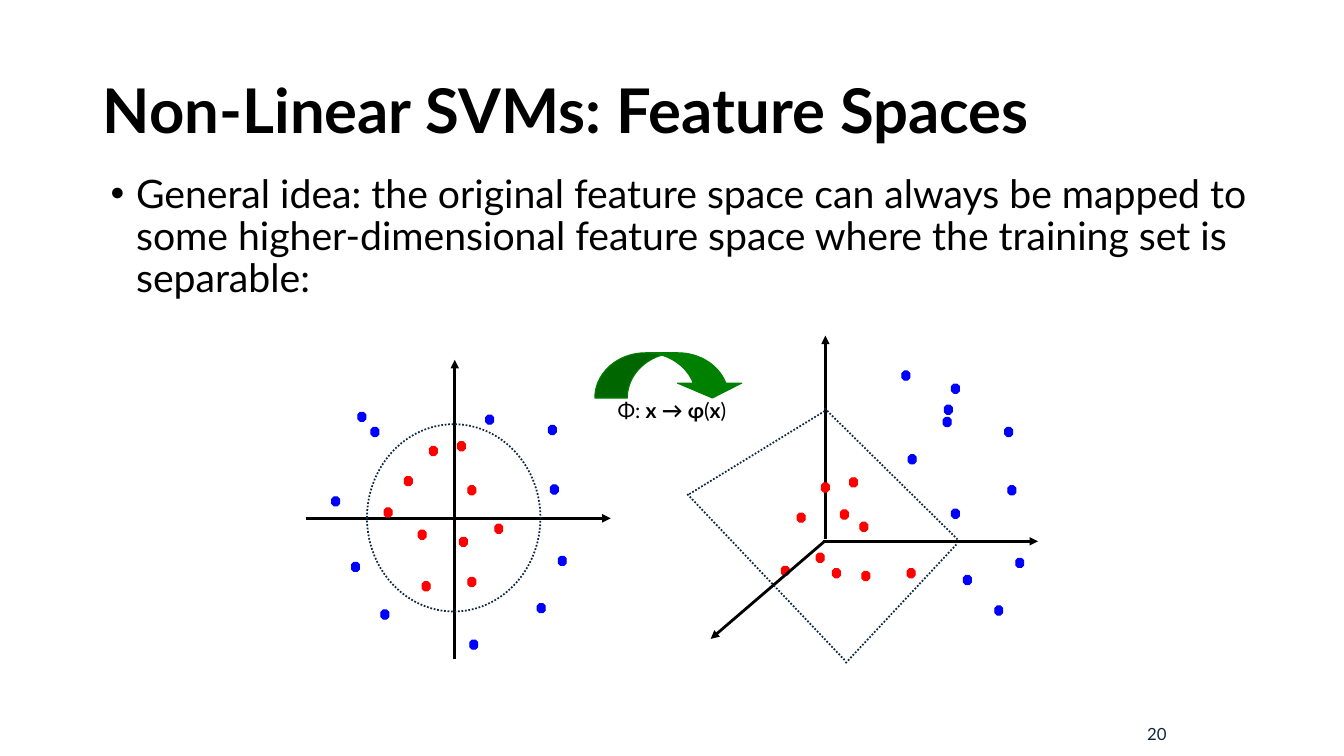
from lxml import etree
from pptx import Presentation
from pptx.dml.color import RGBColor
from pptx.enum.dml import MSO_LINE
from pptx.enum.shapes import MSO_CONNECTOR, MSO_SHAPE
from pptx.enum.text import MSO_ANCHOR, PP_ALIGN
from pptx.oxml.ns import qn
from pptx.util import Cm, Pt

STRAIGHT = MSO_CONNECTOR.STRAIGHT
OCTAGON, OVAL = MSO_SHAPE.OCTAGON, MSO_SHAPE.OVAL
CURVED_ARROW = MSO_SHAPE.CURVED_DOWN_ARROW
DOTTED = MSO_LINE.ROUND_DOT
TOP, MIDDLE = MSO_ANCHOR.TOP, MSO_ANCHOR.MIDDLE
LEFT, CENTER, RIGHT = PP_ALIGN.LEFT, PP_ALIGN.CENTER, PP_ALIGN.RIGHT

BLACK = RGBColor(0x00, 0x00, 0x00)
NAVY = RGBColor(0x0E, 0x28, 0x41)
RED = RGBColor(0xFF, 0x00, 0x00)
BLUE = RGBColor(0x00, 0x00, 0xFF)
GREEN = RGBColor(0x00, 0x80, 0x00)
FONT = "Lato"

TITLE = "Non-Linear SVMs: Feature Spaces"
IDEA = (
    "General idea: the original feature space can always be mapped to "
    "some higher-dimensional feature space where the training set is separable:"
)
SLIDE_NUMBER = "20"
MAPPING = [("Φ: ", False), ("x → φ", True), ("(", False), ("x", True), (")", False)]

TITLE_BOX = (2.34, 1.02, 29.21, 3.68)
IDEA_BOX = (2.54, 4.27, 29.21, 12.09)
NUMBER_BOX = (25.2, 17.93, 4.45, 1.12)
MAPPING_BOX = (14.99, 9.88, 3.89, 0.89)
ARROW_BOX = (14.99, 8.89, 3.78, 1.14)
CIRCLE_BOX = (9.25, 10.69, 4.37, 4.72)

DOT_WIDTH, DOT_HEIGHT = 0.2, 0.23
INPUT_AXES = [(11.46, 16.61, 11.46, 9.07), (7.7, 13.06, 15.39, 13.06)]
FEATURE_AXES = [(20.8, 13.59, 20.8, 8.46), (20.73, 13.64, 26.16, 13.64)]
DEPTH_AXIS = (20.78, 13.64, 17.91, 16.1)
PLANE_EDGES = [
    (20.78, 10.29, 24.13, 13.59),
    (21.31, 16.71, 24.13, 13.69),
    (17.37, 12.45, 20.78, 10.36),
    (17.32, 12.45, 21.31, 16.66),
]
INPUT_DOTS = {
    RED: [
        (11.53, 11.13), (10.19, 12.01), (10.54, 13.36), (11.79, 14.55), (10.82, 11.25),
        (9.68, 12.8), (10.64, 14.66), (11.79, 12.24), (12.47, 13.21), (11.58, 13.54),
    ],
    BLUE: [
        (13.87, 12.22), (13.54, 15.21), (8.36, 12.52), (11.84, 16.13), (14.07, 14.02),
        (9.6, 15.37), (8.86, 14.17), (9.02, 10.39), (12.24, 10.46), (9.35, 10.77),
        (13.82, 10.72),
    ],
}
FEATURE_DOTS = {
    RED: [
        (21.41, 12.04), (20.09, 12.93), (20.98, 14.33), (22.86, 14.33), (20.7, 12.17),
        (21.18, 12.85), (21.72, 14.4), (21.67, 13.16), (20.57, 13.94), (19.69, 14.27),
    ],
    BLUE: [
        (25.4, 12.24), (25.07, 15.27), (23.98, 9.68), (23.98, 12.83), (25.6, 14.07),
        (22.89, 11.46), (24.28, 14.5), (23.8, 10.21), (23.77, 10.52), (22.73, 9.35),
        (25.32, 10.77),
    ],
}


def to_cm(values):
    return [Cm(value) for value in values]


def style_text(paragraph, size, color, alignment):
    paragraph.alignment = alignment
    paragraph.font.name = FONT
    paragraph.font.size = Pt(size)
    paragraph.font.color.rgb = color


def add_text(slide, box, runs, size, color, alignment, anchor=TOP, bullet=None):
    frame = slide.shapes.add_textbox(*to_cm(box)).text_frame
    frame.word_wrap = True
    frame.vertical_anchor = anchor
    paragraph = frame.paragraphs[0]
    if bullet:
        properties = paragraph._p.get_or_add_pPr()
        properties.set("marL", str(Cm(0.64)))
        properties.set("indent", str(-Cm(0.64)))
        etree.SubElement(properties, qn("a:buFont"), typeface="Arial")
        etree.SubElement(properties, qn("a:buChar"), char=bullet)
        paragraph.line_spacing = 0.9
    style_text(paragraph, size, color, alignment)
    for text, bold in runs:
        run = paragraph.add_run()
        run.text = text
        run.font.bold = bold


def add_shape(slide, kind, box, line_color, fill_color=None, line_width=0.75):
    shape = slide.shapes.add_shape(kind, *to_cm(box))
    shape.shadow.inherit = False
    if fill_color is None:
        shape.fill.background()
    else:
        shape.fill.solid()
        shape.fill.fore_color.rgb = fill_color
    shape.line.color.rgb = line_color
    shape.line.width = Pt(line_width)
    return shape


def add_line(slide, ends, color, width):
    connector = slide.shapes.add_connector(STRAIGHT, *to_cm(ends))
    connector.line.color.rgb = color
    connector.line.width = Pt(width)
    etree.SubElement(connector._element.spPr, qn("a:effectLst"))
    return connector


def add_axis(slide, ends):
    axis = add_line(slide, ends, BLACK, 2)
    etree.SubElement(axis.line._get_or_add_ln(), qn("a:tailEnd"), type="triangle")


def add_plot(slide, axes, dots):
    for ends in axes:
        add_axis(slide, ends)
    for color, places in dots.items():
        for left, top in places:
            add_shape(slide, OCTAGON, (left, top, DOT_WIDTH, DOT_HEIGHT), color, color)


def main():
    presentation = Presentation()
    presentation.slide_width, presentation.slide_height = Cm(33.87), Cm(19.05)
    slide = presentation.slides.add_slide(presentation.slide_layouts[5])

    title = slide.shapes.title
    title.left, title.top, title.width, title.height = to_cm(TITLE_BOX)
    title.text_frame.text = TITLE
    title.text_frame.vertical_anchor = MIDDLE
    heading = title.text_frame.paragraphs[0]
    heading.line_spacing = 0.9
    style_text(heading, 44, BLACK, LEFT)
    heading.font.bold = True

    add_text(slide, IDEA_BOX, [(IDEA, False)], 28, BLACK, LEFT, bullet="•")
    add_text(slide, NUMBER_BOX, [(SLIDE_NUMBER, False)], 12, NAVY, RIGHT, MIDDLE)

    add_plot(slide, INPUT_AXES, INPUT_DOTS)
    circle = add_shape(slide, OVAL, CIRCLE_BOX, NAVY, line_width=1.25)
    circle.line.dash_style = DOTTED

    add_plot(slide, FEATURE_AXES, FEATURE_DOTS)
    add_axis(slide, DEPTH_AXIS)
    for ends in PLANE_EDGES:
        add_line(slide, ends, NAVY, 1.25).line.dash_style = DOTTED

    arrow = add_shape(slide, CURVED_ARROW, ARROW_BOX, GREEN, GREEN)
    for index, value in enumerate((0.72, 1.43, 0.33)):
        arrow.adjustments[index] = value
    add_text(slide, MAPPING_BOX, MAPPING, 15, BLACK, CENTER)

    presentation.save("out.pptx")


if __name__ == "__main__":
    main()
